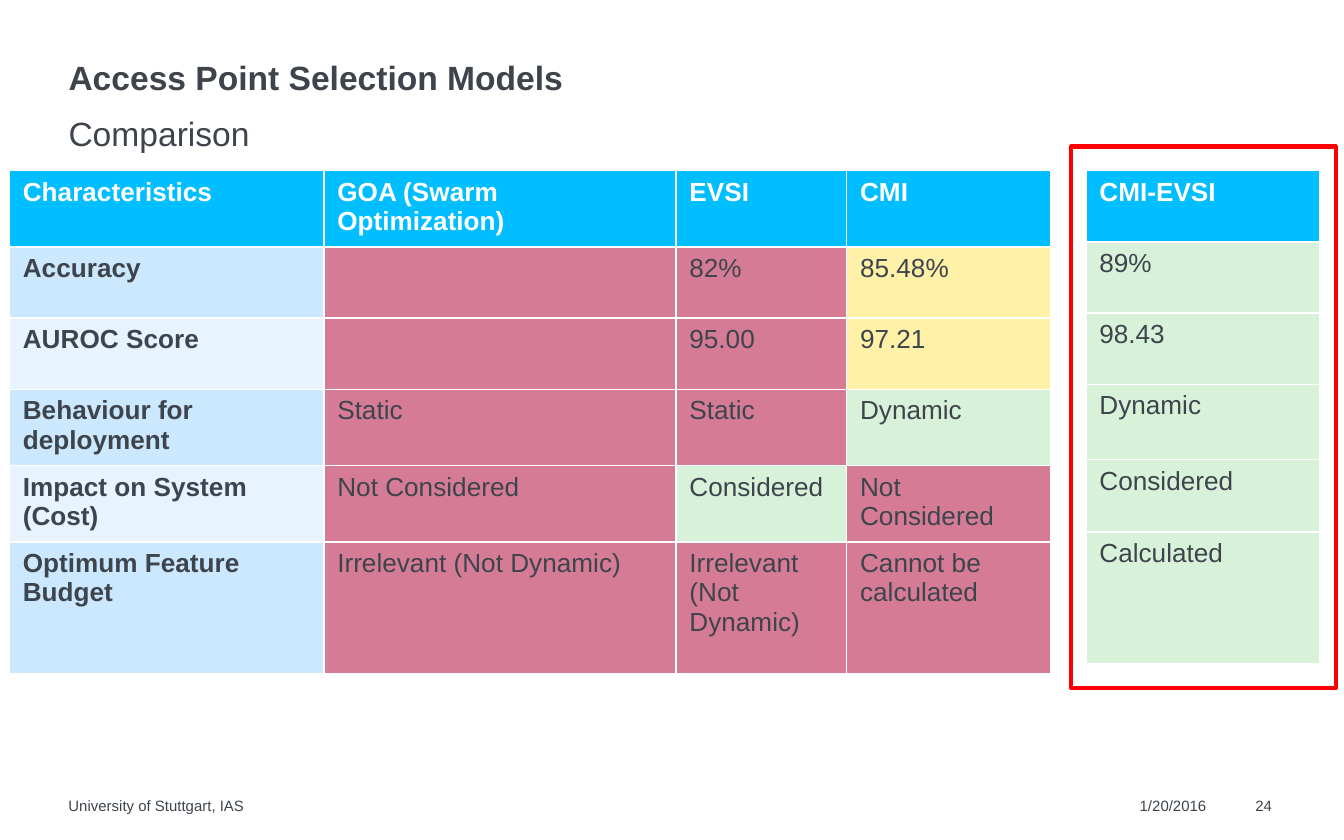
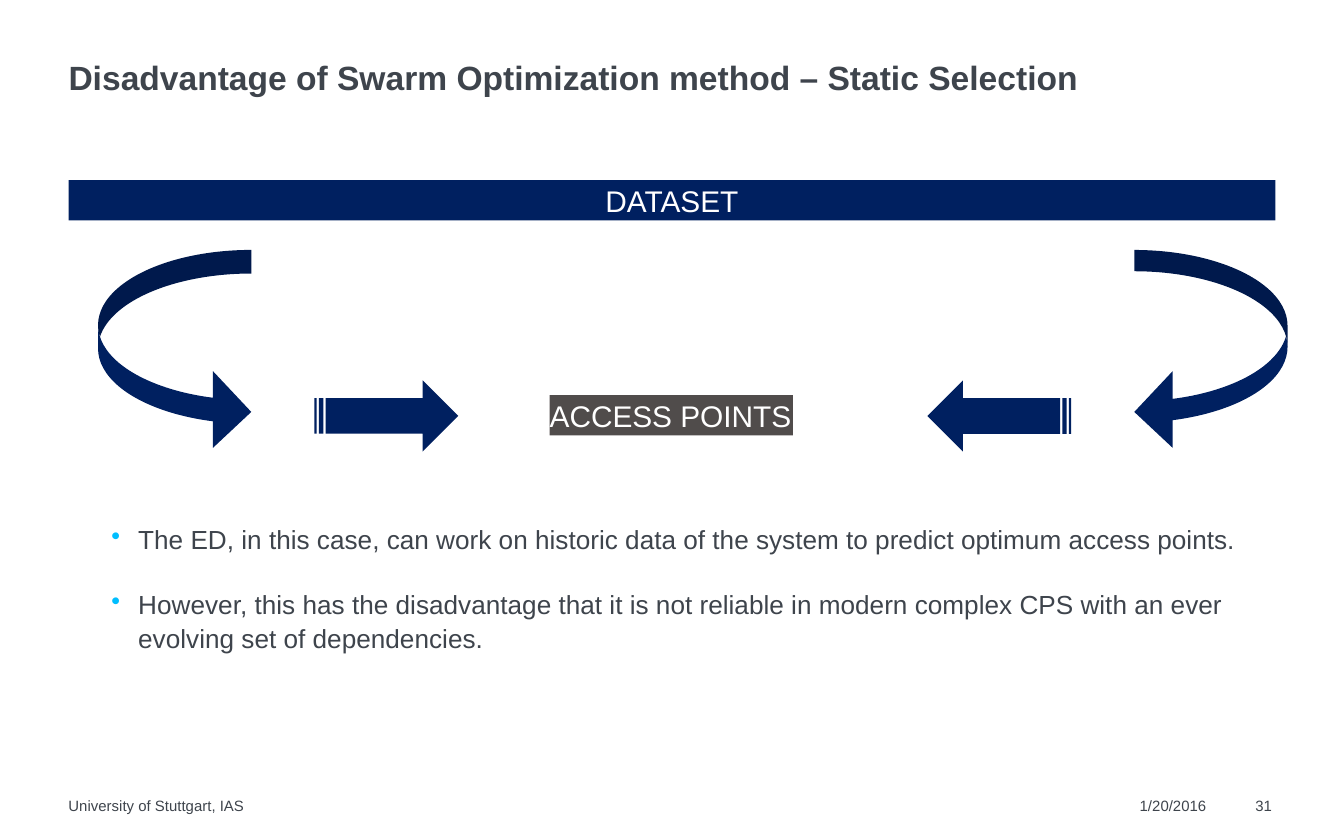
import pptx
import pptx.util
import pptx.dml.color
import pptx.enum.shapes
import pptx.enum.text
import lxml.etree
from dataclasses import dataclass

Inches = pptx.util.Inches
Shape = pptx.enum.shapes.MSO_SHAPE
Anchor = pptx.enum.text.MSO_ANCHOR
Align = pptx.enum.text.PP_ALIGN


@dataclass(frozen=True)
class Theme:
    font: str = "Arial"
    text: str = "3E444C"
    white: str = "FFFFFF"
    accent: str = "00BEFF"
    navy: str = "002060"
    gray: str = "504C4B"
    highlight: str = "FF0000"
    label_bands: tuple = ("CCE8FF", "E7F4FF")
    title_size: int = 18
    label_size: int = 16
    body_size: int = 14
    footer_size: int = 8


THEME = Theme()
RATING = {"bad": "D57B95", "fair": "FFF1A8", "good": "D8F2D9"}

WIDTH, HEIGHT = 10, 6.25
MARGIN = 0.51
CONTENT_WIDTH = WIDTH - 2 * MARGIN
BAR_HEIGHT = 0.3
ROW = 0.53

FOOTER_TOP, FOOTER_HEIGHT = 5.93, 0.14
FOOTER_TEXT = "University of Stuttgart, IAS"
DATE = "1/20/2016"

MODELS = ["Characteristics", "GOA (Swarm Optimization)", "EVSI", "CMI"]
COMPARISON = [
    ("Accuracy", ("", "bad"), ("82%", "bad"), ("85.48%", "fair")),
    ("AUROC Score", ("", "bad"), ("95.00", "bad"), ("97.21", "fair")),
    ("Behaviour for deployment", ("Static", "bad"), ("Static", "bad"), ("Dynamic", "good")),
    ("Impact on System (Cost)", ("Not Considered", "bad"), ("Considered", "good"),
     ("Not Considered", "bad")),
    ("Optimum Feature Budget", ("Irrelevant (Not Dynamic)", "bad"),
     ("Irrelevant (Not Dynamic)", "bad"), ("Cannot be calculated", "bad")),
]
COMBINED_MODEL = "CMI-EVSI"
COMBINED_RESULTS = ["89%", "98.43", "Dynamic", "Considered", "Calculated"]

REMARKS = [
    "The ED, in this case, can work on historic data of the system to predict optimum access points.",
    "However, this has the disadvantage that it is not reliable in modern complex CPS "
    "with an ever evolving set of dependencies.",
]


def rgb(value):
    return pptx.dml.color.RGBColor.from_string(value)


def style(paragraph, size, color=THEME.text, bold=False):
    font = paragraph.font
    font.name, font.size, font.bold = THEME.font, pptx.util.Pt(size), bold
    font.color.rgb = rgb(color)


def clear_margins(frame):
    frame.margin_left = frame.margin_right = frame.margin_top = frame.margin_bottom = 0


def add_text(slide, box, text, size, bold=False, anchor=Anchor.TOP, spacing=None):
    frame = slide.shapes.add_textbox(*map(Inches, box)).text_frame
    clear_margins(frame)
    frame.word_wrap = True
    frame.vertical_anchor = anchor
    paragraph = frame.paragraphs[0]
    paragraph.text = text
    paragraph.line_spacing = spacing
    style(paragraph, size, bold=bold)


def add_block(slide, kind, box, fill):
    shape = slide.shapes.add_shape(kind, *map(Inches, box))
    shape.shadow.inherit = False
    shape.fill.solid()
    shape.fill.fore_color.rgb = rgb(fill)
    shape.line.fill.background()
    return shape


def add_label(slide, box, text, fill, alignment):
    frame = add_block(slide, Shape.RECTANGLE, box, fill).text_frame
    clear_margins(frame)
    frame.word_wrap = False
    paragraph = frame.paragraphs[0]
    paragraph.text = text
    paragraph.alignment = alignment
    style(paragraph, THEME.label_size, THEME.white)


def add_grid(slide, left, top, columns, heights, rows):
    frame = slide.shapes.add_table(len(rows), len(columns), *map(
        Inches, (left, top, sum(columns), sum(heights))))
    table = frame.table
    for column, width in zip(table.columns, columns):
        column.width = Inches(width)
    for row, height in zip(table.rows, heights):
        row.height = Inches(height)
    for row, entries in zip(table.rows, rows):
        for cell, (text, fill, color, bold) in zip(row.cells, entries):
            cell.fill.solid()
            cell.fill.fore_color.rgb = rgb(fill)
            paragraph = cell.text_frame.paragraphs[0]
            paragraph.text = text
            style(paragraph, THEME.body_size, color, bold)


def header(text):
    return text, THEME.accent, THEME.white, True


def result(text, rating):
    return text, RATING[rating], THEME.text, False


def start_slide(presentation, title, number):
    slide = presentation.slides.add_slide(presentation.slide_layouts[6])
    add_text(slide, (MARGIN, 0.43, CONTENT_WIDTH, BAR_HEIGHT), title,
             THEME.title_size, True, Anchor.BOTTOM, 0.9)
    for left, width, text in ((MARGIN, 6.63, FOOTER_TEXT), (8.48, 0.58, DATE),
                              (9.34, 0.24, str(number))):
        add_text(slide, (left, FOOTER_TOP, width, FOOTER_HEIGHT), text, THEME.footer_size)
    return slide


def build_comparison(presentation):
    slide = start_slide(presentation, "Access Point Selection Models", 24)
    add_text(slide, (MARGIN, 0.78, CONTENT_WIDTH, BAR_HEIGHT), "Comparison",
             THEME.title_size, spacing=1.2)
    rows = [[header(model) for model in MODELS]]
    for index, (name, *results) in enumerate(COMPARISON):
        label = (name, THEME.label_bands[index % 2], THEME.text, True)
        rows.append([label] + [result(*entry) for entry in results])
    add_grid(slide, 0.07, 1.27, (2.34, 2.62, 1.27, 1.52), [ROW] * 5 + [0.98], rows)
    combined = [[header(COMBINED_MODEL)]] + [[result(text, "good")] for text in COMBINED_RESULTS]
    add_grid(slide, 8.08, 1.27, (1.74,), [ROW] * 3 + [0.56, 0.54, 0.98], combined)
    frame = slide.shapes.add_shape(Shape.RECTANGLE, *map(Inches, (7.97, 1.09, 1.97, 4.03)))
    frame.shadow.inherit = False
    frame.fill.background()
    frame.line.color.rgb = rgb(THEME.highlight)
    frame.line.width = pptx.util.Pt(2.25)


def add_bullet(paragraph):
    properties = paragraph._p.get_or_add_pPr()
    properties.set("marL", str(Inches(0.2)))
    properties.set("indent", str(-Inches(0.2)))
    namespace = "{http://schemas.openxmlformats.org/drawingml/2006/main}"
    color = lxml.etree.Element(namespace + "buClr")
    lxml.etree.SubElement(color, namespace + "srgbClr", val=THEME.accent)
    bullet = lxml.etree.Element(namespace + "buChar", char="•")
    default_font = properties.find(namespace + "defRPr")
    default_font.addprevious(color)
    default_font.addprevious(bullet)


def add_remarks(slide):
    frame = slide.shapes.add_textbox(*map(Inches, (0.73, 3.83, 8.82, 1.04))).text_frame
    frame.word_wrap = True
    for index, text in enumerate(REMARKS):
        paragraph = frame.add_paragraph() if index else frame.paragraphs[0]
        paragraph.text = text
        paragraph.line_spacing = 1.07
        if index:
            paragraph.space_before = pptx.util.Pt(17)
        style(paragraph, THEME.body_size)
        add_bullet(paragraph)


def build_static_selection(presentation):
    slide = start_slide(
        presentation, "Disadvantage of Swarm Optimization method – Static Selection", 31)
    add_label(slide, (MARGIN, 1.34, CONTENT_WIDTH, BAR_HEIGHT), "DATASET",
              THEME.navy, Align.CENTER)

    mirror_span = 10.31
    curve_left, curve_width = 0.73, 1.14
    stripe_left, stripe_width = 2.34, 1.07
    curves = ((Shape.CURVED_RIGHT_ARROW, curve_left, 0.154),
              (Shape.CURVED_LEFT_ARROW, mirror_span - curve_left - curve_width, 0.139))
    for kind, left, thickness in curves:
        arrow = add_block(slide, kind, (left, 1.86, curve_width, 1.49), THEME.navy)
        for index, value in enumerate((thickness, 0.5, 0.25)):
            arrow.adjustments[index] = value
    for left, rotation in ((stripe_left, 0), (mirror_span - stripe_left - stripe_width, 180)):
        arrow = add_block(slide, Shape.STRIPED_RIGHT_ARROW,
                          (left, 2.83, stripe_width, ROW), THEME.navy)
        arrow.rotation = rotation

    add_label(slide, (4.09, 2.94, 1.81, BAR_HEIGHT), "ACCESS POINTS", THEME.gray, Align.LEFT)
    add_remarks(slide)


def main():
    presentation = pptx.Presentation()
    presentation.slide_width, presentation.slide_height = Inches(WIDTH), Inches(HEIGHT)
    build_comparison(presentation)
    build_static_selection(presentation)
    presentation.save("out.pptx")


if __name__ == "__main__":
    main()
